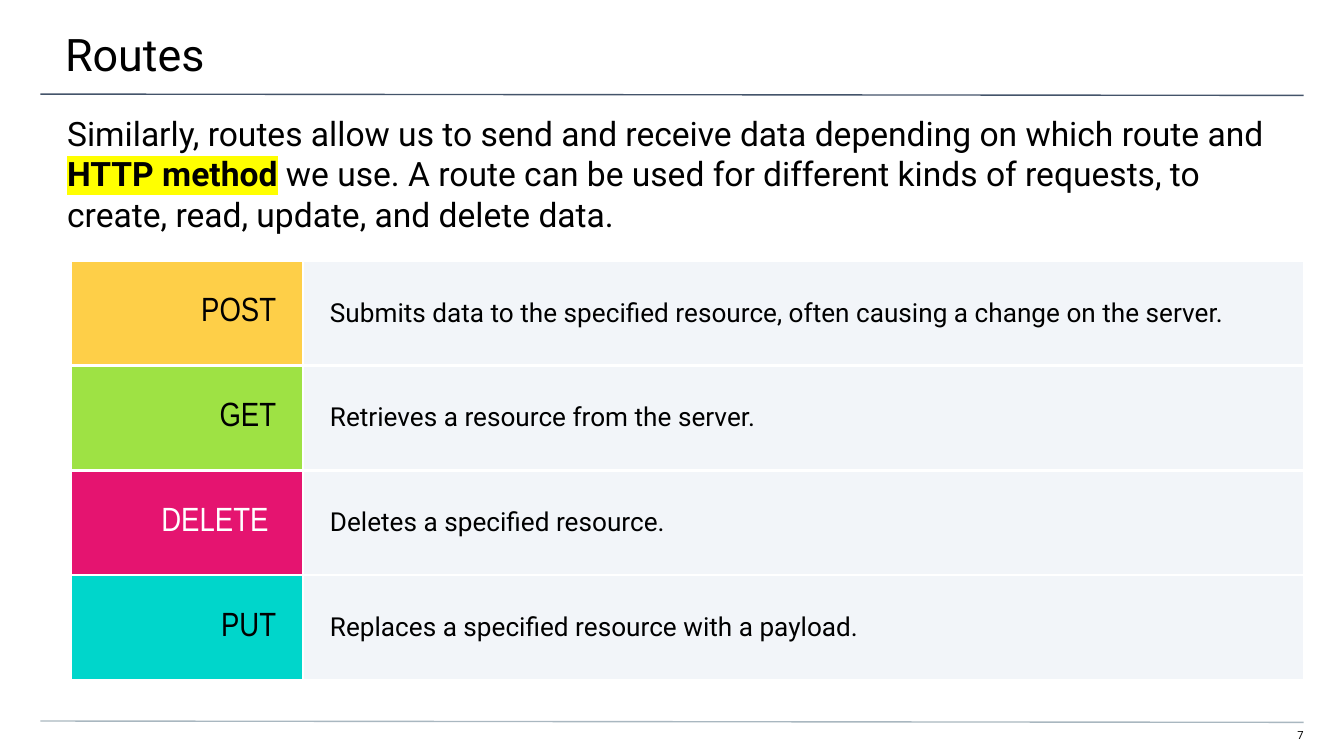
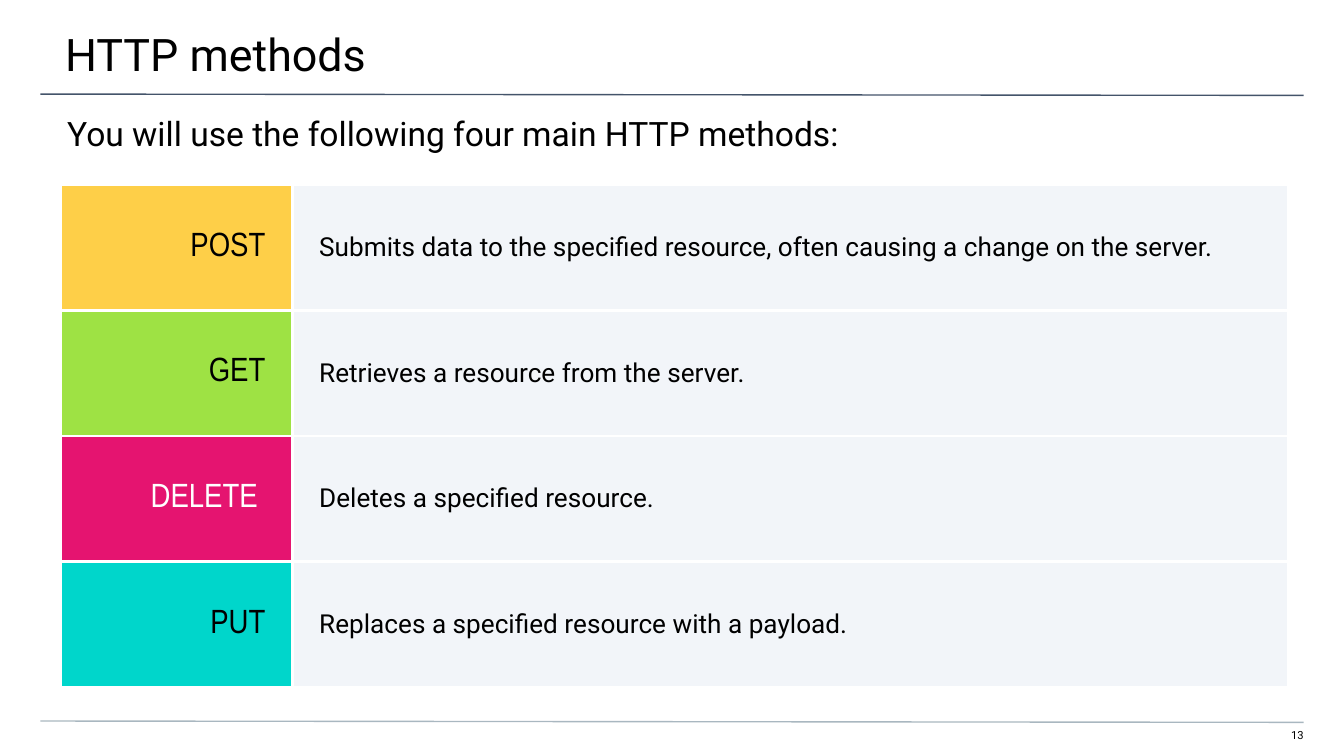
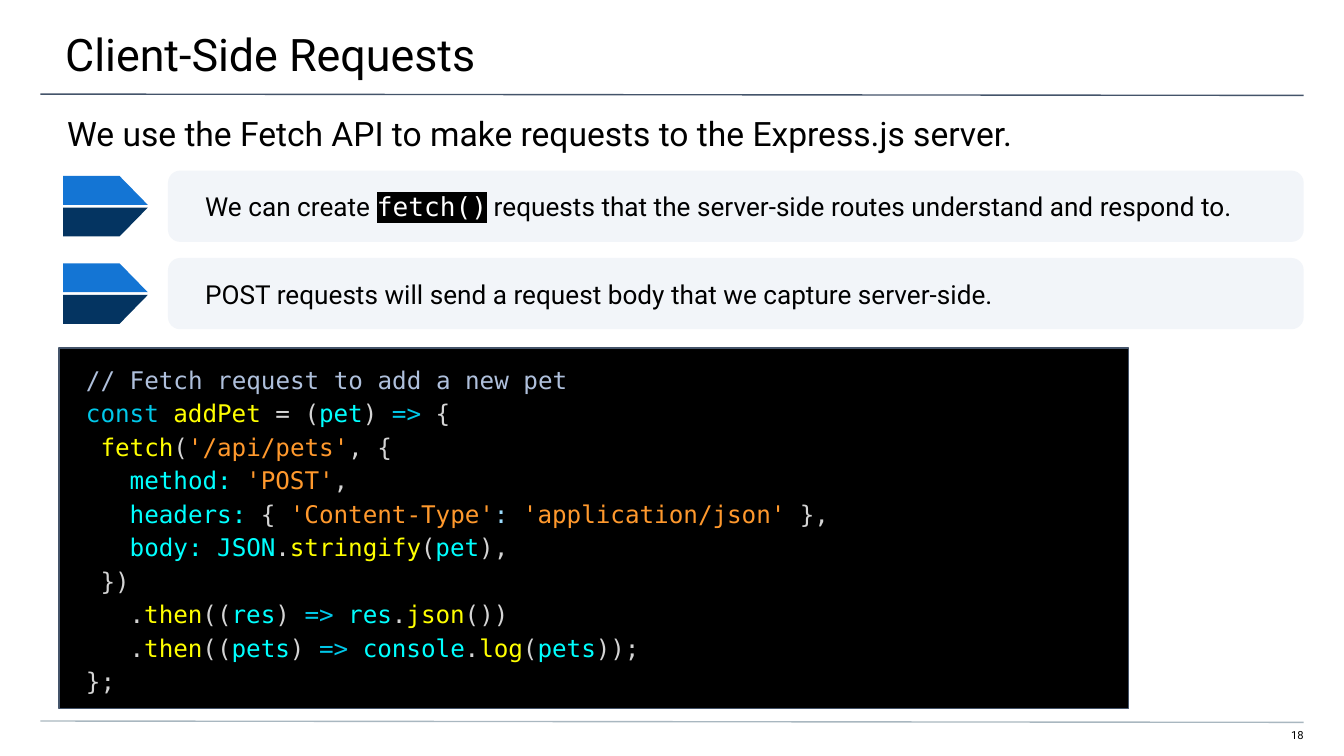
from dataclasses import dataclass

from lxml import etree
from pptx import Presentation
from pptx.dml.color import RGBColor
from pptx.enum import shapes, text
from pptx.oxml import ns
from pptx.util import Emu, Pt

PX = 4572
WIDTH, HEIGHT = 2000, 1125
SANS, NARROW, MONO = "Roboto", "Arial Narrow", "DejaVu Sans Mono"
LEFT, RIGHT = text.PP_ALIGN.LEFT, text.PP_ALIGN.RIGHT
TOP, MIDDLE = text.MSO_ANCHOR.TOP, text.MSO_ANCHOR.MIDDLE

COLORS = {
    "black": "000000",
    "white": "FFFFFF",
    "marker": "FFFF00",
    "rule": "44546A",
    "footer": "A9B7C0",
    "panel": "F2F5F9",
    "post": "FECF48",
    "get": "9EE244",
    "delete": "E51470",
    "put": "00D6CB",
    "flag_top": "1475D4",
    "flag_bottom": "043461",
    "comment": "AFC0DC",
    "keyword": "00C8E9",
    "call": "FFFF00",
    "plain": "D4D4D4",
    "name": "00FFFF",
    "string": "FF992D",
    "colon": "9CDCFE",
}


@dataclass(frozen=True)
class Run:
    text: str
    color: str = "black"
    font: str = SANS
    bold: bool = False
    highlight: str = ""


@dataclass(frozen=True)
class Box:
    left: int
    top: int
    width: int
    height: int

    def emu(self) -> tuple:
        return tuple(px(n) for n in (self.left, self.top, self.width, self.height))


@dataclass(frozen=True)
class Style:
    size: int
    insets: tuple
    align: int = LEFT
    anchor: int = TOP
    spacing: float = 1.0


@dataclass(frozen=True)
class Method:
    verb: str
    fill: str
    meaning: str
    color: str = "black"


@dataclass(frozen=True)
class MethodGrid:
    left: int
    top: int
    columns: tuple
    row: int


TITLE = Style(24, (100, 40, 60, 20))
LEAD = Style(18, (100, 20, 100, 0))
NUMBER = Style(6, (0, 0, 0, 20), RIGHT)
VERB = Style(18, (40, 40, 40, 40), RIGHT, MIDDLE)
MEANING = Style(14, (40, 40, 40, 40), anchor=MIDDLE)
POINT = Style(14, (50, 20, 20, 20), anchor=MIDDLE)
CODE = Style(13, (40, 20, 20, 20), anchor=MIDDLE, spacing=1.15)

METHODS = (
    Method("POST", "post", "Submits data to the specified resource, often causing a change on the server."),
    Method("GET", "get", "Retrieves a resource from the server."),
    Method("DELETE ", "delete", "Deletes a specified resource.", "white"),
    Method("PUT", "put", "Replaces a specified resource with a payload."),
)

POINTS = (
    (
        Run("We can create "),
        Run("fetch()", "white", MONO, highlight="black"),
        Run(" requests that the server-side routes understand and respond to."),
    ),
    (Run("POST requests will send a request body that we capture server-side."),),
)

ADD_PET = (
    (("// Fetch request to add a new pet", "comment"),),
    (("const ", "keyword"), ("addPet", "call"), (" = (", "plain"), ("pet", "name"),
     (") ", "plain"), ("=>", "keyword"), (" {", "plain")),
    ((" fetch", "call"), ("(", "plain"), ("'/api/pets'", "string"), (", {", "plain")),
    (("   method: ", "name"), ("'POST'", "string"), (",", "plain")),
    (("   headers:", "name"), (" { ", "plain"), ("'Content-Type'", "string"),
     (": ", "colon"), ("'application/json'", "string"), (" },", "plain")),
    (("   body: JSON", "name"), (".", "plain"), ("stringify", "call"),
     ("(", "plain"), ("pet", "name"), ("),", "plain")),
    ((" })", "plain"),),
    (("   .", "plain"), ("then", "call"), ("((", "plain"), ("res", "name"),
     (") ", "plain"), ("=> ", "keyword"), ("res", "name"), (".", "plain"),
     ("json", "call"), ("())", "plain")),
    (("   .", "plain"), ("then", "call"), ("((", "plain"), ("pets", "name"),
     (") ", "plain"), ("=> ", "keyword"), ("console", "name"), (".", "plain"),
     ("log", "call"), ("(", "plain"), ("pets", "name"), ("));", "plain")),
    (("};", "plain"),),
)


def px(length: int) -> Emu:
    return Emu(length * PX)


def rgb(color: str) -> RGBColor:
    return RGBColor.from_string(COLORS[color])


def paint(target, color: str) -> None:
    target.fill.solid()
    target.fill.fore_color.rgb = rgb(color)


def add_color(parent, tag: str, color: str) -> None:
    holder = etree.SubElement(parent, ns.qn(tag))
    etree.SubElement(holder, ns.qn("a:srgbClr"), val=COLORS[color])


def write(frame, lines: tuple, style: Style) -> None:
    for number, line in enumerate(lines):
        paragraph = frame.add_paragraph() if number else frame.paragraphs[0]
        paragraph.alignment = style.align
        if style.spacing != 1:
            paragraph.line_spacing = style.spacing
        for piece in line:
            run = paragraph.add_run()
            run.text = piece.text
            run.font.size = Pt(style.size)
            run.font.bold = piece.bold
            run.font.color.rgb = rgb(piece.color)
            if piece.highlight:
                add_color(run.font._element, "a:highlight", piece.highlight)
            run.font.name = piece.font


def fill_frame(frame, lines: tuple, style: Style) -> None:
    frame.word_wrap = True
    frame.vertical_anchor = style.anchor
    (frame.margin_left, frame.margin_top,
     frame.margin_right, frame.margin_bottom) = map(px, style.insets)
    write(frame, lines, style)


def add_text(slide, box: Box, line: tuple, style: Style) -> None:
    fill_frame(slide.shapes.add_textbox(*box.emu()).text_frame, (line,), style)


def add_rule(slide, top: int, color: str) -> None:
    rule = slide.shapes.add_connector(
        shapes.MSO_CONNECTOR.STRAIGHT, px(60), px(top), px(1940), px(top + 2))
    rule.line.color.rgb = rgb(color)
    rule.line.width = Pt(0.75)
    etree.SubElement(rule._element.spPr, ns.qn("a:effectLst"))


def add_panel(slide, kind: int, box: Box, fill: str, lines: tuple, style: Style):
    panel = slide.shapes.add_shape(kind, *box.emu())
    panel.shadow.inherit = False
    paint(panel, fill)
    panel.line.fill.background()
    fill_frame(panel.text_frame, lines, style)
    return panel


def add_page(deck, title: str, lead: tuple, number: int):
    slide = deck.slides.add_slide(deck.slide_layouts[6])
    add_text(slide, Box(1882, 1084, 58, 24), (Run(str(number)),), NUMBER)
    add_rule(slide, 140, "rule")
    add_rule(slide, 1073, "footer")
    add_text(slide, Box(-3, 0, 2006, 116), (Run(title),), TITLE)
    add_text(slide, Box(0, 148, WIDTH, 80), lead, LEAD)
    return slide


def fill_cell(cell, fill: str, run: Run, style: Style) -> None:
    (cell.margin_left, cell.margin_top,
     cell.margin_right, cell.margin_bottom) = map(px, style.insets)
    cell.vertical_anchor = style.anchor
    write(cell.text_frame, ((run,),), style)
    properties = cell._tc.get_or_add_tcPr()
    for side in ("a:lnL", "a:lnR", "a:lnT", "a:lnB"):
        border = etree.SubElement(properties, ns.qn(side), w=str(Pt(1.5)))
        add_color(border, "a:solidFill", "white")
    paint(cell, fill)


def add_methods(slide, grid: MethodGrid) -> None:
    box = Box(grid.left, grid.top, sum(grid.columns), grid.row * len(METHODS))
    table = slide.shapes.add_table(len(METHODS), len(grid.columns), *box.emu()).table
    table.first_row = table.horz_banding = False
    for column, width in zip(table.columns, grid.columns):
        column.width = px(width)
    for index, method in enumerate(METHODS):
        table.rows[index].height = px(grid.row)
        fill_cell(table.cell(index, 0), method.fill, Run(method.verb, method.color, NARROW), VERB)
        fill_cell(table.cell(index, 1), "panel", Run(method.meaning), MEANING)


def add_flag(slide, left: int, top: int) -> None:
    flag = slide.shapes.add_group_shape()
    halves = (("flag_top", top, top + 43), ("flag_bottom", top + 90, top + 47))
    for color, outer, inner in halves:
        outline = flag.shapes.build_freeform(left, outer, scale=PX)
        outline.add_line_segments(
            ((left, inner), (left + 126, inner), (left + 84, outer)), close=True)
        half = outline.convert_to_shape()
        half.shadow.inherit = False
        paint(half, color)
        half.line.fill.background()


def add_points(slide) -> None:
    for index, point in enumerate(POINTS):
        top = 254 + 130 * index
        card = add_panel(slide, shapes.MSO_SHAPE.ROUNDED_RECTANGLE,
                         Box(250, top, 1690, 106), "panel", (point,), POINT)
        card.adjustments[0] = 0.17
        add_flag(slide, 94, top + 8)


def add_code(slide) -> None:
    lines = tuple(tuple(Run(token, color, MONO) for token, color in line) for line in ADD_PET)
    listing = add_panel(slide, shapes.MSO_SHAPE.RECTANGLE,
                        Box(88, 518, 1591, 536), "black", lines, CODE)
    listing.line.color.rgb = rgb("rule")
    listing.line.width = Pt(0.75)


def main() -> None:
    deck = Presentation()
    deck.slide_width, deck.slide_height = px(WIDTH), px(HEIGHT)

    routes = add_page(deck, "Routes", (
        Run("Similarly, routes allow us to send and receive data depending on which route and "),
        Run("HTTP method", bold=True, highlight="marker"),
        Run(" we use. A route can be used for different kinds of requests, "
            "to create, read, update, and delete data."),
    ), 7)
    add_methods(routes, MethodGrid(106, 388, (345, 1490), 156))

    methods = add_page(
        deck, "HTTP methods", (Run("You will use the following four main HTTP methods:"),), 13)
    add_methods(methods, MethodGrid(90, 275, (345, 1482), 187))

    requests = add_page(
        deck, "Client-Side Requests",
        (Run("We use the Fetch API to make requests to the Express.js server."),), 18)
    add_code(requests)
    add_points(requests)

    deck.save("out.pptx")


if __name__ == "__main__":
    main()
